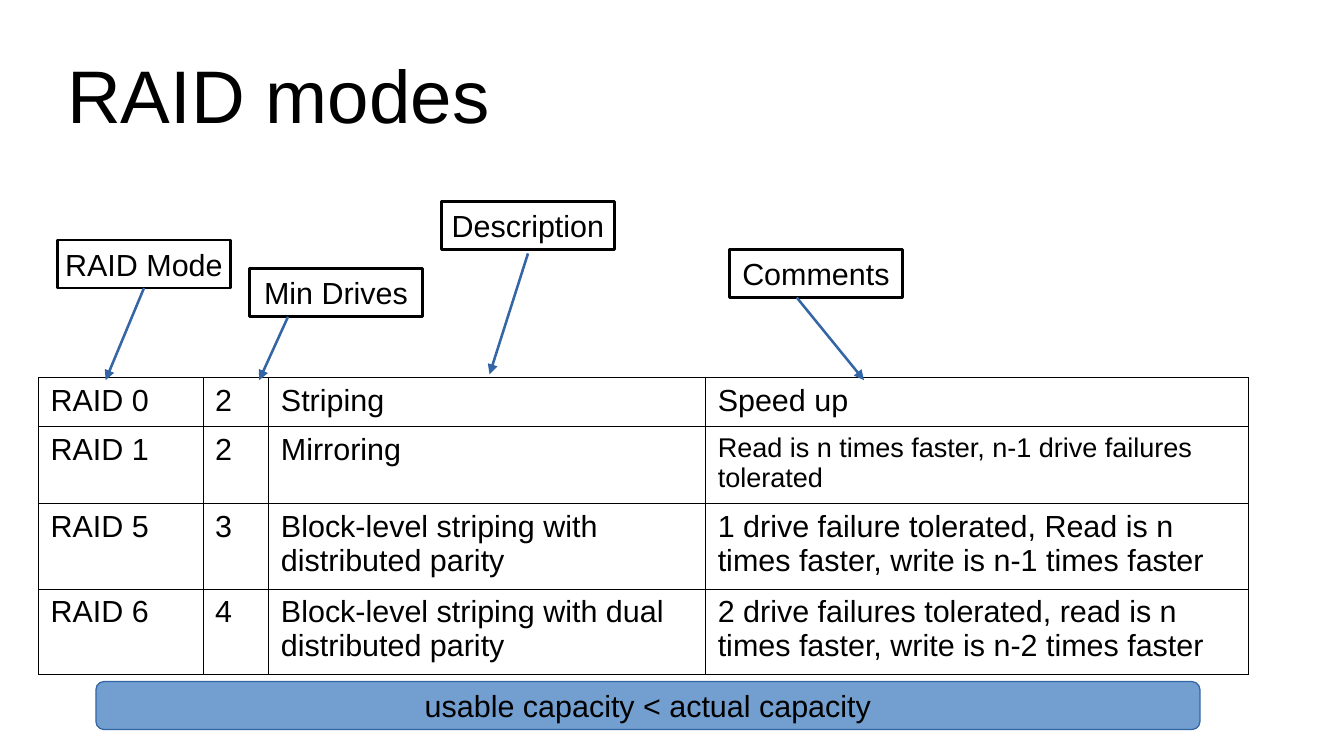
from pptx import Presentation
from pptx.dml.color import RGBColor
from pptx.enum.shapes import MSO_CONNECTOR, MSO_SHAPE
from pptx.enum.text import MSO_ANCHOR, MSO_AUTO_SIZE, PP_ALIGN
from pptx.oxml.ns import qn
from pptx.oxml import parse_xml
from pptx.util import Cm, Pt
from lxml.etree import SubElement

BLACK, BLUE, DARK_BLUE = "000000", "729FCF", "3465A4"
DRAWING_NS = "http://schemas.openxmlformats.org/drawingml/2006/main"


def write(frame, text, size=18, align=PP_ALIGN.LEFT):
    frame.text = text
    para = frame.paragraphs[0]
    para.alignment = align
    font = para.runs[0].font
    font.name, font.size = "Arial", Pt(size)
    font.color.rgb = RGBColor.from_string(BLACK)


def add_box(kind, left, top, width, height, text, line_color, line_width):
    box = slide.shapes.add_shape(kind, Cm(left), Cm(top), Cm(width), Cm(height))
    box.shadow.inherit = False
    box.fill.background()
    box.line.color.rgb = RGBColor.from_string(line_color)
    box.line.width = Pt(line_width)
    write(box.text_frame, text, align=PP_ALIGN.CENTER)
    box.text_frame.word_wrap = False
    box.text_frame.vertical_anchor = MSO_ANCHOR.MIDDLE
    return box


deck = Presentation()
deck.slide_width, deck.slide_height = Cm(28), Cm(15.75)
slide = deck.slides.add_slide(deck.slide_layouts[5])

# Title
title = slide.shapes.title
title.left, title.top, title.width, title.height = Cm(1.4), Cm(0.63), Cm(25.2), Cm(2.63)
frame = title.text_frame
write(frame, "RAID modes", 44)
frame.auto_size = MSO_AUTO_SIZE.NONE
frame.vertical_anchor = MSO_ANCHOR.MIDDLE
frame.margin_left = frame.margin_right = frame.margin_top = frame.margin_bottom = 0

# Table of modes
modes = [
    ("RAID 0", "2", "Striping", "Speed up"),
    ("RAID 1", "2", "Mirroring", "Read is n times faster, n-1 drive failures tolerated"),
    ("RAID 5", "3", "Block-level striping with distributed parity",
     "1 drive failure tolerated, Read is n times faster, write is n-1 times faster"),
    ("RAID 6", "4", "Block-level striping with dual distributed parity",
     "2 drive failures tolerated, read is n times faster, write is n-2 times faster"),
]
column_widths = [3.43, 1.37, 9.1, 11.3]
row_heights = [1.02, 1.6, 1.78, 1.78]
table = slide.shapes.add_table(
    len(modes), len(column_widths), Cm(0.8), Cm(7.87),
    Cm(sum(column_widths)), Cm(sum(row_heights))).table
table.first_row = table.horz_banding = False
for column, width in zip(table.columns, column_widths):
    column.width = Cm(width)
for row, height, texts in zip(table.rows, row_heights, modes):
    row.height = Cm(height)
    for cell, text in zip(row.cells, texts):
        write(cell.text_frame, text, 16 if text.startswith("Read is") else 18)
        properties = cell._tc.get_or_add_tcPr()
        for side in ("lnL", "lnR", "lnT", "lnB"):
            properties.append(parse_xml(
                f'<a:{side} xmlns:a="{DRAWING_NS}" w="{Pt(0.57)}"><a:solidFill>'
                f'<a:srgbClr val="{BLACK}"/></a:solidFill></a:{side}>'))
        cell.fill.background()

# Column labels, each with an arrow to its column
labels = [
    ("RAID Mode", 1.2, 5, (3, 6), (2.2, 7.92)),
    ("Min Drives", 5.2, 5.6, (6, 6.6), (5.4, 7.92)),
    ("Description", 9.2, 4.2, (11, 5.28), (10.2, 7.8)),
    ("Comments", 15.2, 5.2, (16.6, 6.2), (18, 7.92)),
]
for text, left, top, start, end in labels:
    add_box(MSO_SHAPE.RECTANGLE, left, top, 3.6, 1, text, BLACK, 1.5)
    arrow = slide.shapes.add_connector(
        MSO_CONNECTOR.STRAIGHT, *map(Cm, start), *map(Cm, end))
    arrow.line.color.rgb = RGBColor.from_string(DARK_BLUE)
    arrow.line.width = Pt(1.5)
    properties = arrow._element.spPr
    SubElement(properties.find(qn("a:ln")), qn("a:tailEnd"), type="triangle")
    SubElement(properties, qn("a:effectLst"))

# Capacity note
note = add_box(MSO_SHAPE.ROUNDED_RECTANGLE, 2, 14.2, 23, 1,
               "usable capacity < actual capacity", DARK_BLUE, 0)
note.fill.solid()
note.fill.fore_color.rgb = RGBColor.from_string(BLUE)

deck.save("out.pptx")
